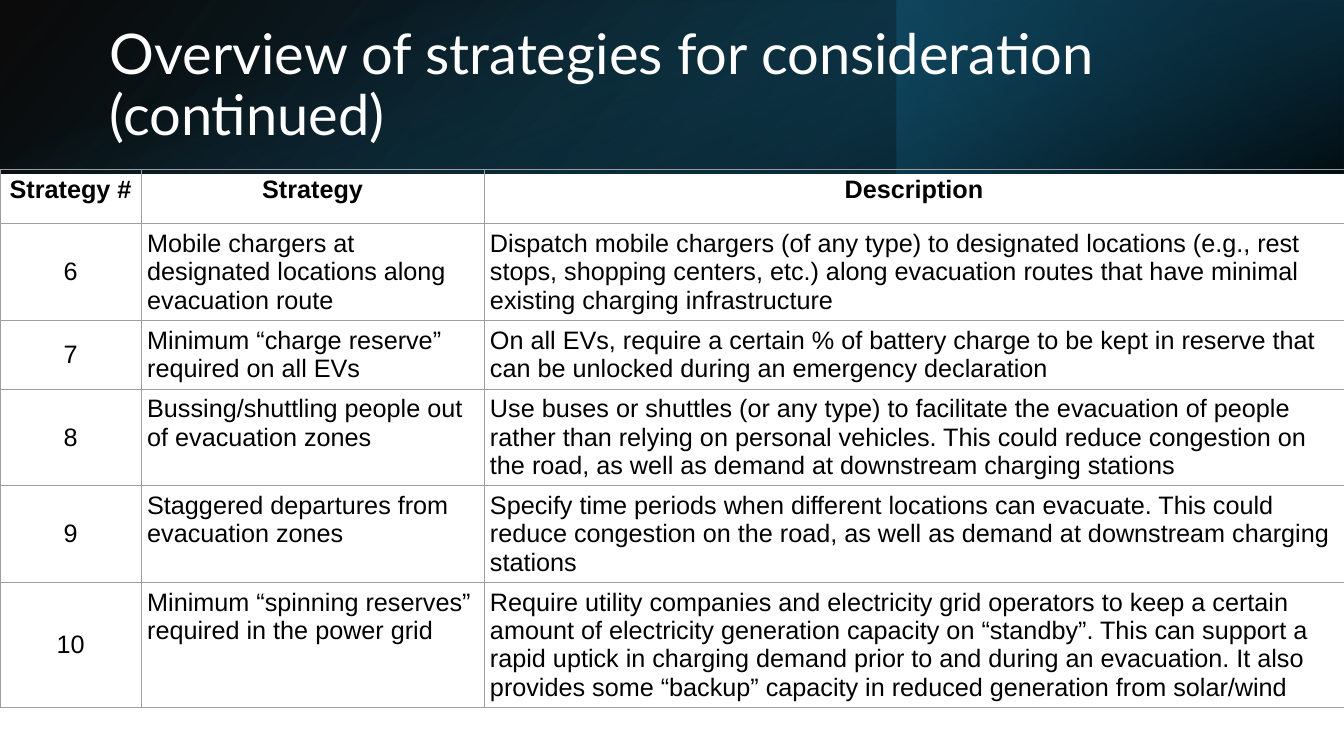
from lxml.etree import SubElement
from pptx import Presentation
from pptx.dml.color import RGBColor
from pptx.enum.shapes import MSO_SHAPE
from pptx.enum.text import MSO_ANCHOR, MSO_AUTO_SIZE, PP_ALIGN
from pptx.oxml.ns import qn
from pptx.util import Inches, Pt

BLACK = RGBColor(0x00, 0x00, 0x00)
WHITE = RGBColor(0xFF, 0xFF, 0xFF)
BLUE = RGBColor(0x10, 0x48, 0x62)
NAVY = RGBColor(0x0B, 0x30, 0x41)
TEAL = RGBColor(0x15, 0x60, 0x82)
GRAY = RGBColor(0x9E, 0x9E, 0x9E)

BANDS = [
    ((0, 0, 13.33, 1.72), 0, True, 140, [(0, BLACK, 96), (100, BLUE, 100)]),
    ((8.89, 0, 4.44, 1.72), 180, False, 320, [(19, NAVY, 68), (100, TEAL, 79)]),
    ((5.8, -5.8, 1.72, 13.33), 90, False, 340, [(23, TEAL, 0), (99, BLACK, 74)]),
]
COLUMN_WIDTHS = [1.4, 3.4, 8.53]
ROW_HEIGHTS = [0.54, 0.84, 0.66, 0.84, 0.66, 1.2]
ROWS = [
    ("Strategy #", "Strategy", "Description"),
    ("6", "Mobile chargers at designated locations along evacuation route",
     "Dispatch mobile chargers (of any type) to designated locations (e.g., rest stops, "
     "shopping centers, etc.) along evacuation routes that have minimal existing charging "
     "infrastructure"),
    ("7", "Minimum “charge reserve” required on all EVs",
     "On all EVs, require a certain % of battery charge to be kept in reserve that can be "
     "unlocked during an emergency declaration"),
    ("8", "Bussing/shuttling people out of evacuation zones",
     "Use buses or shuttles (or any type) to facilitate the evacuation of people rather than "
     "relying on personal vehicles. This could reduce congestion on the road, as well as "
     "demand at downstream charging stations"),
    ("9", "Staggered departures from evacuation zones",
     "Specify time periods when different locations can evacuate. This could reduce "
     "congestion on the road, as well as demand at downstream charging stations"),
    ("10", "Minimum “spinning reserves” required in the power grid",
     "Require utility companies and electricity grid operators to keep a certain amount of "
     "electricity generation capacity on “standby”. This can support a rapid uptick in "
     "charging demand prior to and during an evacuation. It also provides some “backup” "
     "capacity in reduced generation from solar/wind"),
]


def add_borders(cell):
    properties = cell._tc.get_or_add_tcPr()
    for position, side in enumerate(("lnL", "lnR", "lnT", "lnB")):
        line = SubElement(properties, qn(f"a:{side}"), w=str(Pt(0.5)))
        fill = SubElement(line, qn("a:solidFill"))
        SubElement(fill, qn("a:srgbClr"), val=str(GRAY))
        properties.insert(position, line)


presentation = Presentation()
presentation.slide_width = Inches(13.33)
presentation.slide_height = Inches(7.5)
slide = presentation.slides.add_slide(presentation.slide_layouts[5])
slide.background.fill.solid()
slide.background.fill.fore_color.rgb = WHITE

for box, rotation, flipped, angle, stops in BANDS:
    band = slide.shapes.add_shape(MSO_SHAPE.RECTANGLE, *map(Inches, box))
    band.shadow.inherit = False
    band.line.fill.background()
    band.rotation = rotation
    properties = band._element.spPr
    if flipped:
        properties.find(qn("a:xfrm")).set("flipH", "1")
    band.fill.gradient()
    band.fill.gradient_angle = 360 - angle
    for stop, (position, color, _) in zip(band.fill.gradient_stops, stops):
        stop.position = position / 100
        stop.color.rgb = color
    for color_element, (_, _, opacity) in zip(properties.iter(qn("a:srgbClr")), stops):
        SubElement(color_element, qn("a:alpha"), val=str(opacity * 1000))

title = slide.shapes.title
slide.shapes._spTree.append(title._element)
title.left, title.top = Inches(0.99), Inches(0.38)
title.width, title.height = Inches(11.87), Inches(0.96)
title.text_frame.text = "Overview of strategies for consideration (continued)"
title.text_frame.word_wrap = True
title.text_frame.auto_size = MSO_AUTO_SIZE.NONE
title.text_frame.vertical_anchor = MSO_ANCHOR.MIDDLE
paragraph = title.text_frame.paragraphs[0]
paragraph.alignment = PP_ALIGN.LEFT
paragraph.line_spacing = 0.9
paragraph.font.name = "Lato"
paragraph.font.size = Pt(40)
paragraph.font.color.rgb = WHITE

table = slide.shapes.add_table(len(ROWS), len(COLUMN_WIDTHS), Inches(0), Inches(1.68),
                               Inches(13.33), Inches(sum(ROW_HEIGHTS))).table
table.first_row = False
table.horz_banding = False
for column, width in zip(table.columns, COLUMN_WIDTHS):
    column.width = Inches(width)
for row_index, (height, texts) in enumerate(zip(ROW_HEIGHTS, ROWS)):
    table.rows[row_index].height = Inches(height)
    for column_index, text in enumerate(texts):
        header = row_index == 0
        number = column_index == 0
        cell = table.cell(row_index, column_index)
        cell.text = text
        cell.fill.background()
        cell.margin_left = cell.margin_right = Inches(0.06)
        cell.margin_top = cell.margin_bottom = Inches(0.06)
        cell.vertical_anchor = MSO_ANCHOR.MIDDLE if number and not header else MSO_ANCHOR.TOP
        add_borders(cell)
        paragraph = cell.text_frame.paragraphs[0]
        paragraph.alignment = PP_ALIGN.CENTER if header or number else PP_ALIGN.LEFT
        paragraph.font.name = "Arial"
        paragraph.font.size = Pt(18)
        paragraph.font.bold = header
        paragraph.font.color.rgb = BLACK

presentation.save("out.pptx")
